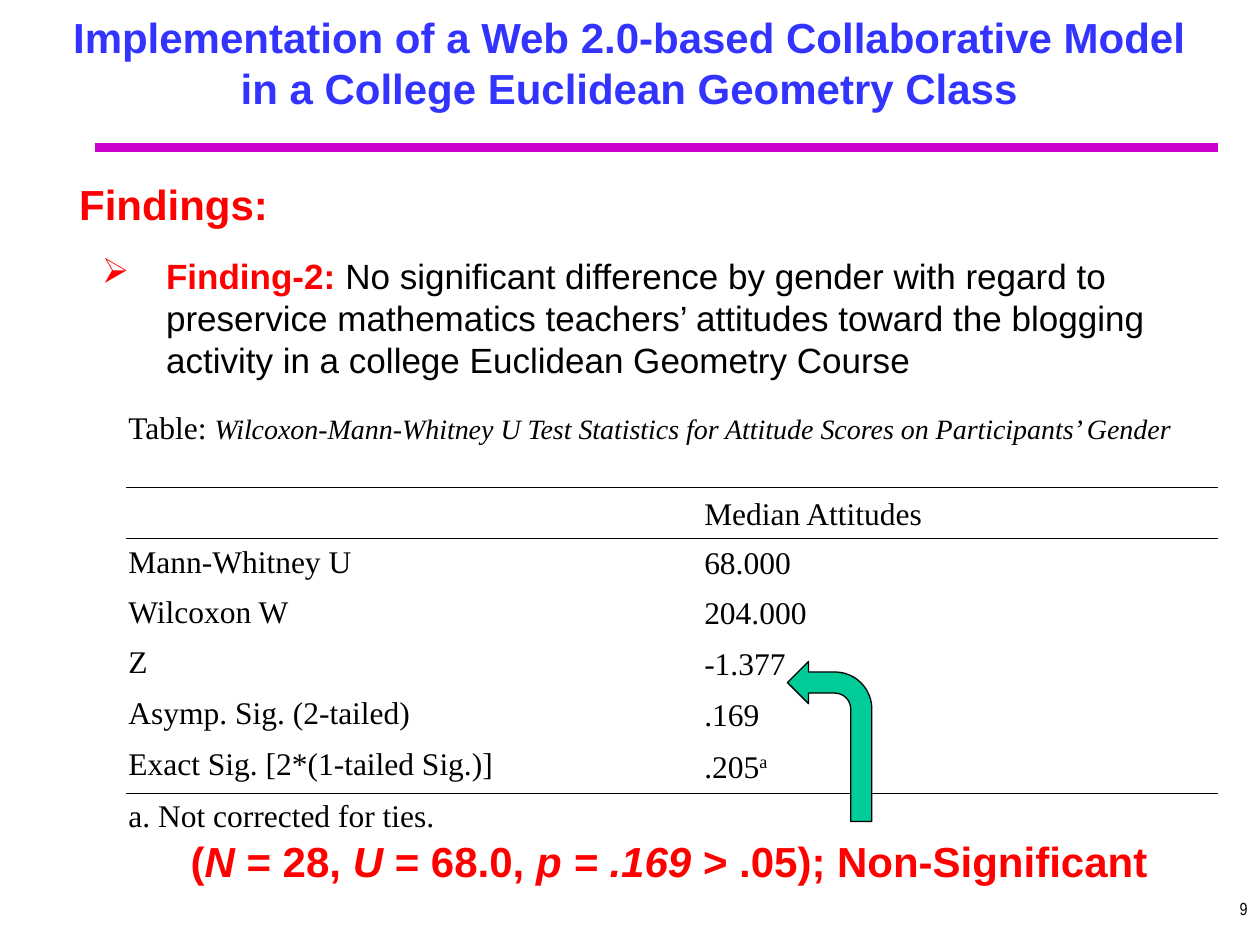
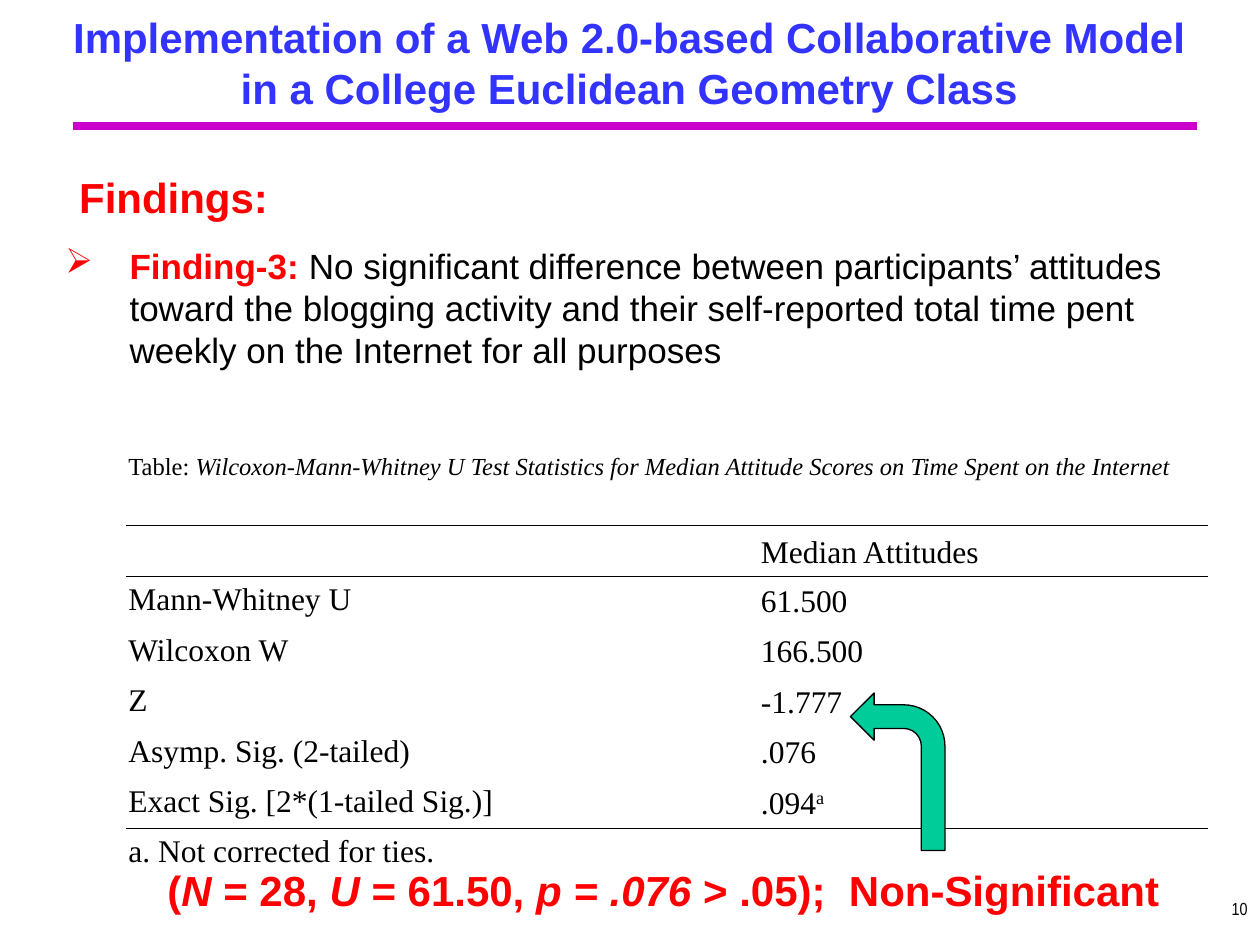
from lxml import etree
from pptx import Presentation
from pptx.dml.color import RGBColor
from pptx.enum.shapes import MSO_CONNECTOR, MSO_SHAPE
from pptx.enum.text import MSO_ANCHOR, MSO_AUTO_SIZE, PP_ALIGN
from pptx.oxml.ns import qn
from pptx.util import Inches, Pt

LEFT, CENTER, RIGHT = PP_ALIGN.LEFT, PP_ALIGN.CENTER, PP_ALIGN.RIGHT
TOP, MIDDLE, BOTTOM = MSO_ANCHOR.TOP, MSO_ANCHOR.MIDDLE, MSO_ANCHOR.BOTTOM
FIXED, GROW = MSO_AUTO_SIZE.NONE, MSO_AUTO_SIZE.SHAPE_TO_FIT_TEXT
STRAIGHT, BENT_ARROW = MSO_CONNECTOR.STRAIGHT, MSO_SHAPE.BENT_ARROW

COLORS = {"title": "3333FF", "rule": "CC00CC", "accent": "FF0000",
          "arrow": "00CC99", "text": "000000", "paper": "FFFFFF"}

TITLE = {"name": "Arial", "size": Pt(24), "bold": True, "color": "title"}
HEADING = {**TITLE, "color": "accent"}
HEADING_ITALIC = {**HEADING, "italic": True}
LABEL = {**HEADING, "size": Pt(20)}
BODY = {**LABEL, "bold": False, "color": "text"}
NUMBER = {"name": "Arial Narrow", "size": Pt(10), "color": "text"}
SERIF = {"name": "Times New Roman", "size": Pt(18), "color": "text"}

TITLE_LINES = ["Implementation of a Web 2.0-based Collaborative Model",
               "in a College Euclidean Geometry Class"]
STATISTICS = ["Mann-Whitney U", "Wilcoxon W", "Z", "Asymp. Sig. (2-tailed)",
              "Exact Sig. [2*(1-tailed Sig.)]"]

SLIDES = [
    {"number": "9",
     "rule": (0.75, 1.17, 8.92),
     "heading": (0.5, 1.42, 8.5, 0.48),
     "finding": (0.71, 1.97, 9, 1.1),
     "finding_text": ("Finding-2: ", "No significant difference by gender with regard to "
                      "preservice mathematics teachers’ attitudes toward the blogging "
                      "activity in a college Euclidean Geometry Course"),
     "table": (1, 2.93, 8.67, 3.77),
     "columns": (4.57, 4.1),
     "rows": (0.94, 0.4, 0.4, 0.4, 0.4, 0.41, 0.41, 0.41),
     "caption": "Wilcoxon-Mann-Whitney U Test Statistics for Attitude Scores "
                "on Participants’ Gender",
     "caption_sizes": (18, 16),
     "values": ["68.000", "204.000", "-1.377", ".169", ".205"],
     "arrow": (6.25, 5.25, 0.67, 1.27),
     "result": (0.92, 6.63, 8.75, 0.48),
     "result_text": (" = 68.0, ", "p = .169 ", "> .05); Non-Significant")},
    {"number": "10",
     "rule": (0.58, 1, 8.92),
     "heading": (0.5, 1.36, 8.5, 0.48),
     "finding": (0.42, 1.89, 8.92, 1.1),
     "finding_text": ("Finding-3: ", "No significant difference between participants’ "
                      "attitudes toward the blogging activity and their self-reported "
                      "total time pent weekly on the Internet for all purposes"),
     "table": (1, 3.24, 8.59, 3.73),
     "columns": (5.02, 3.57),
     "rows": (0.93, *[0.4] * 7),
     "caption": "Wilcoxon-Mann-Whitney U Test Statistics for Median Attitude Scores "
                "on Time Spent on the Internet",
     "caption_sizes": (14, 14),
     "values": ["61.500", "166.500", "-1.777", ".076", ".094"],
     "arrow": (6.75, 5.5, 0.75, 1.25),
     "result": (1, 6.86, 8.5, 0.48),
     "result_text": (" = 61.50, ", "p = .076 ", "> .05);  Non-Significant")},
]


def color(name):
    return RGBColor.from_string(COLORS[name])


def inches(box):
    return [Inches(length) for length in box]


def add_run(paragraph, text, style):
    run = paragraph.add_run()
    run.text = text
    for key, value in style.items():
        if key == "color":
            run.font.color.rgb = color(value)
        else:
            setattr(run.font, key, value)
    return run


def format_frame(frame, anchor=TOP, top=0.05, auto_size=FIXED):
    settings = {"word_wrap": True, "auto_size": auto_size, "vertical_anchor": anchor,
                "margin_left": Inches(0.1), "margin_right": Inches(0.1),
                "margin_top": Inches(top), "margin_bottom": Inches(0.05)}
    for key, value in settings.items():
        setattr(frame, key, value)


def add_text(slide, box, runs, align=LEFT, top=0.05, auto_size=FIXED):
    """Add a one-paragraph text box and return its paragraph."""
    frame = slide.shapes.add_textbox(*inches(box)).text_frame
    format_frame(frame, top=top, auto_size=auto_size)
    paragraph = frame.paragraphs[0]
    paragraph.alignment = align
    for text, style in runs:
        add_run(paragraph, text, style)
    return paragraph


def indent(paragraph, left, first):
    properties = paragraph._p.get_or_add_pPr()
    properties.set("marL", str(Inches(left)))
    properties.set("indent", str(Inches(first)))
    return properties


def add_title(slide, rule_box):
    title = slide.shapes.title
    title.left, title.top, title.width, title.height = inches((0.08, 0.08, 9.83, 0.83))
    frame = title.text_frame
    format_frame(frame, anchor=MIDDLE)
    for i, line in enumerate(TITLE_LINES):
        paragraph = frame.add_paragraph() if i else frame.paragraphs[0]
        paragraph.alignment = CENTER
        add_run(paragraph, line, TITLE)

    # Rule under the title
    left, top, width = inches(rule_box)
    rule = slide.shapes.add_connector(STRAIGHT, left, top, left + width, top)
    rule.line.color.rgb = color("rule")
    rule.line.width = Pt(5)
    etree.SubElement(rule._element.spPr, qn("a:effectLst"))


def add_headline(slide, box, runs, align=LEFT):
    paragraph = add_text(slide, box, runs, align, top=0)
    paragraph.space_before = Pt(6)
    indent(paragraph, 0.03, 0)


def add_finding(slide, box, texts):
    paragraph = add_text(slide, box, zip(texts, (LABEL, BODY)), auto_size=GROW)
    paragraph.space_after = Pt(12)
    properties = indent(paragraph, 0.51, -0.51)
    bullet_color = etree.SubElement(properties, qn("a:buClr"))
    etree.SubElement(bullet_color, qn("a:srgbClr"), val=COLORS["accent"])
    etree.SubElement(properties, qn("a:buChar"), char="➢")


def set_borders(cell, ruled):
    """Draw the sides named in ruled and clear the others."""
    properties = cell._tc.get_or_add_tcPr()
    for side in "LRTB":
        border = etree.SubElement(properties, qn(f"a:ln{side}"), w=str(Pt(0.45)))
        if side in ruled:
            fill = etree.SubElement(border, qn("a:solidFill"))
            etree.SubElement(fill, qn("a:srgbClr"), val=COLORS["text"])
        else:
            etree.SubElement(border, qn("a:noFill"))


def add_statistics(slide, box, content):
    rows, columns = content["rows"], content["columns"]
    table = slide.shapes.add_table(len(rows), len(columns), *inches(box)).table
    table.first_row = table.horz_banding = False
    for column, width in zip(table.columns, columns):
        column.width = Inches(width)
    for row, height in zip(table.rows, rows):
        row.height = Inches(height)

    # Caption and footnote span the table
    last = len(rows) - 1
    for i in (0, last):
        table.cell(i, 0).merge(table.cell(i, 1))

    label_size, caption_size = content["caption_sizes"]
    caption = [("Table: ", {**SERIF, "size": Pt(label_size)}),
               (content["caption"], {**SERIF, "size": Pt(caption_size), "italic": True})]
    grid = [[caption, []], [[], [("Median Attitudes", SERIF)]]]
    grid += [[[(name, SERIF)], [(value, SERIF)]]
             for name, value in zip(STATISTICS, content["values"])]
    grid.append([[("a. Not corrected for ties.", SERIF)], []])

    ruled_sides = {0: "B", 1: "TB", 2: "T", last - 1: "B", last: "T"}
    for i, texts in enumerate(grid):
        for j, runs in enumerate(texts):
            cell = table.cell(i, j)
            cell.margin_left = cell.margin_right = Inches(0.02)
            cell.vertical_anchor = BOTTOM if i == 1 else MIDDLE if j or not i else TOP
            set_borders(cell, ruled_sides.get(i, ""))
            cell.fill.solid()
            cell.fill.fore_color.rgb = color("paper")
            for text, style in runs:
                add_run(cell.text_frame.paragraphs[0], text, style)

    # Footnote mark on the exact significance
    mark = add_run(table.cell(last - 1, 1).text_frame.paragraphs[0], "a", SERIF)
    mark._r.get_or_add_rPr().set("baseline", "30000")


def add_arrow(slide, box):
    arrow = slide.shapes.add_shape(BENT_ARROW, *inches(box))
    arrow._element.spPr.xfrm.set("flipH", "1")
    arrow.shadow.inherit = False
    arrow.fill.solid()
    arrow.fill.fore_color.rgb = color("arrow")
    arrow.line.color.rgb = color("text")
    arrow.line.width = Pt(0.75)


def add_result(slide, box, texts):
    u_value, p_value, verdict = texts
    runs = [("(", HEADING), ("N", HEADING_ITALIC), (" = 28, ", HEADING),
            ("U", HEADING_ITALIC), (u_value, HEADING),
            (p_value, HEADING_ITALIC), (verdict, HEADING)]
    add_headline(slide, box, runs, CENTER)


def add_finding_slide(prs, content):
    slide = prs.slides.add_slide(prs.slide_layouts[5])
    add_statistics(slide, content["table"], content)
    add_result(slide, content["result"], content["result_text"])
    add_arrow(slide, content["arrow"])
    add_text(slide, (7.92, 7.08, 2.08, 0.42), [(content["number"], NUMBER)], RIGHT)
    add_finding(slide, content["finding"], content["finding_text"])
    add_headline(slide, content["heading"], [("Findings:", HEADING)])
    add_title(slide, content["rule"])


def main():
    prs = Presentation()
    prs.slide_width, prs.slide_height = Inches(10), Inches(7.5)
    for content in SLIDES:
        add_finding_slide(prs, content)
    prs.save("out.pptx")


if __name__ == "__main__":
    main()
